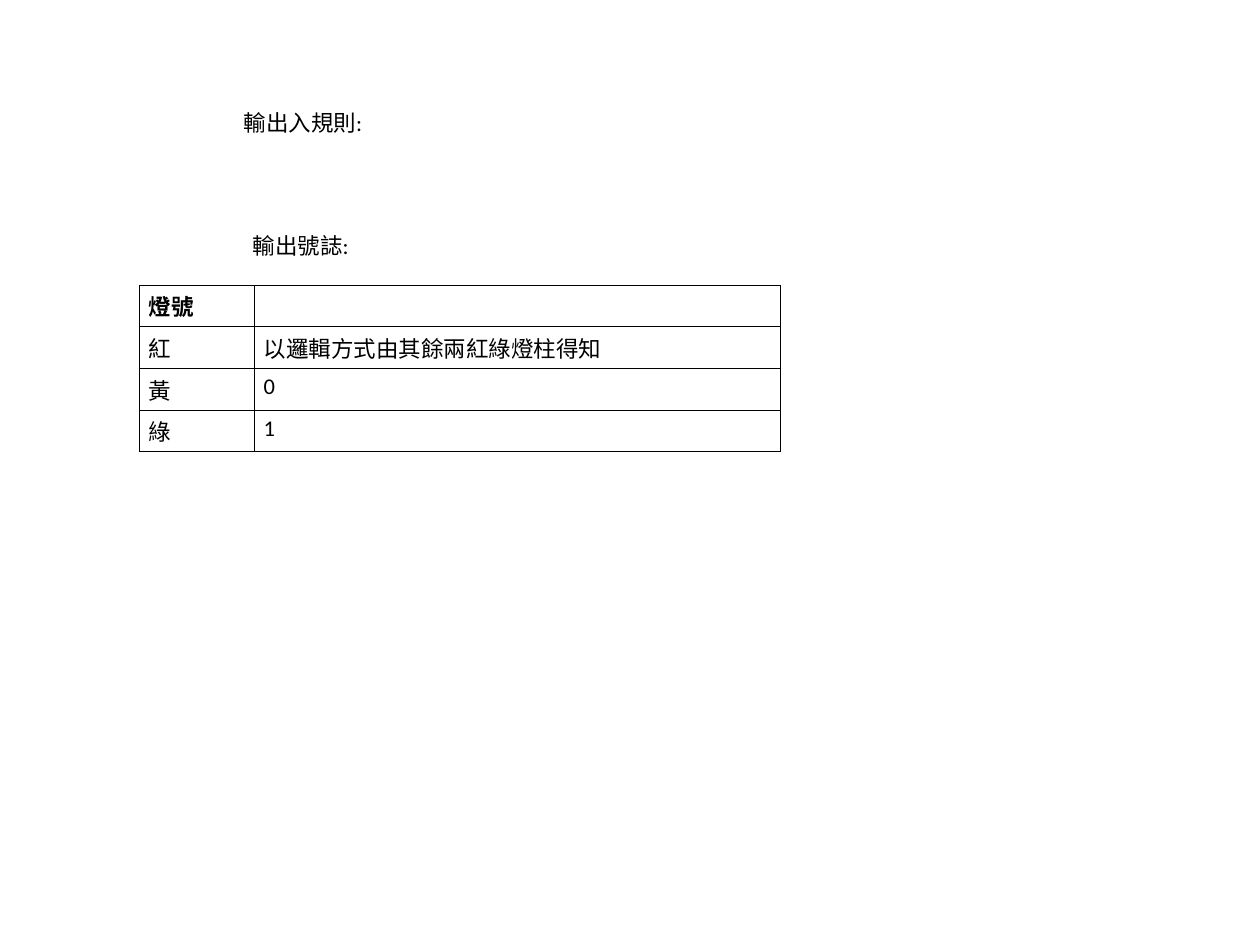
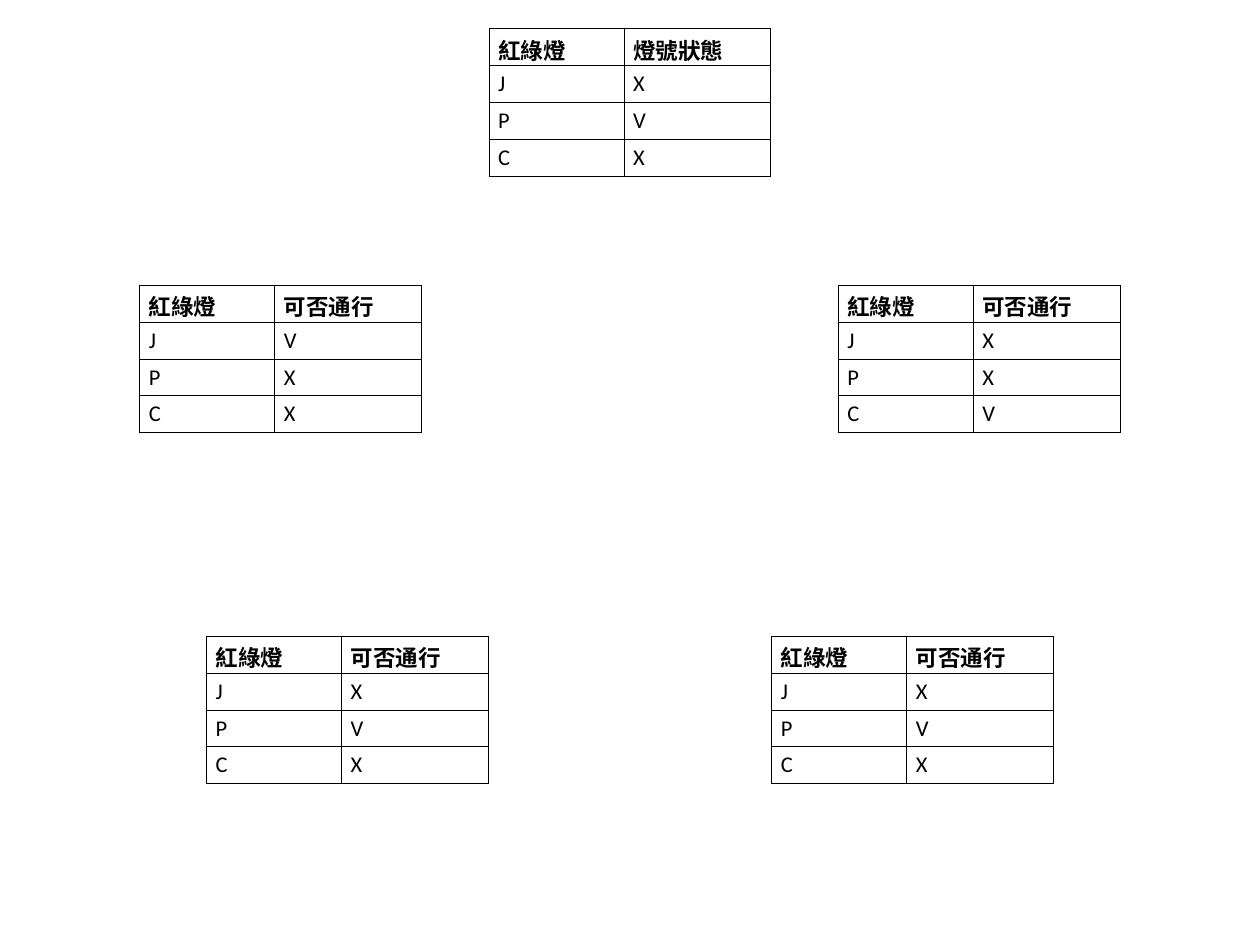
from lxml.etree import SubElement
from pptx import Presentation
from pptx.dml.color import RGBColor
from pptx.enum.text import MSO_AUTO_SIZE as AutoSize
from pptx.oxml.ns import qn
from pptx.util import Inches, Pt

WIDTH, HEIGHT = 14, 10.5
FONT, SIZE = "Calibri", 18
INK, PAPER = "000000", "FFFFFF"
ROW_HEIGHT = 0.41
LEFT_EDGE, MIDDLE_TOP = 1.55, 3.17
SIGNAL_COLUMNS = (1.5, 1.63)
LIGHTS = "JPC"


def color(hex_text):
    return RGBColor.from_string(hex_text)


def add_span(para, text, bold=False):
    span = para.add_run()
    span.text = text
    span.font.name = FONT
    span.font.size = Pt(SIZE)
    span.font.bold = bold
    span.font.color.rgb = color(INK)


def add_label(page, text, left, top, width):
    box = page.shapes.add_textbox(Inches(left), Inches(top), Inches(width), Inches(0.4))
    box.text_frame.word_wrap = False
    box.text_frame.auto_size = AutoSize.SHAPE_TO_FIT_TEXT
    add_span(box.text_frame.paragraphs[0], text)


def outline_cell(cell):
    properties = cell._tc.get_or_add_tcPr()
    for side in ("lnL", "lnR", "lnT", "lnB"):
        line = SubElement(properties, qn(f"a:{side}"), w=str(Pt(1)))
        fill = SubElement(line, qn("a:solidFill"))
        SubElement(fill, qn("a:srgbClr"), val=INK)


def add_grid(page, rows, columns, left, top):
    """Add a ruled table whose first row is bold."""
    frame = page.shapes.add_table(
        len(rows), len(columns), Inches(left), Inches(top),
        Inches(sum(columns)), Inches(ROW_HEIGHT * len(rows)))
    table = frame.table
    table.first_row = table.horz_banding = False
    for column, width in zip(table.columns, columns):
        column.width = Inches(width)
    for row_index, texts in enumerate(rows):
        table.rows[row_index].height = Inches(ROW_HEIGHT)
        for column_index, text in enumerate(texts):
            cell = table.cell(row_index, column_index)
            outline_cell(cell)
            cell.fill.solid()
            cell.fill.fore_color.rgb = color(PAPER)
            if text:
                add_span(cell.text_frame.paragraphs[0], text, bold=row_index == 0)


def add_signal(page, shift, top, green, heading="可否通行"):
    """Add a signal table, shifted sideways from the slide's centre."""
    states = [(light, "V" if light == green else "X") for light in LIGHTS]
    left = (WIDTH - sum(SIGNAL_COLUMNS)) / 2 + shift
    add_grid(page, [("紅綠燈", heading), *states], SIGNAL_COLUMNS, left, top)


def add_page(deck):
    page = deck.slides.add_slide(deck.slide_layouts[6])
    page.background.fill.solid()
    page.background.fill.fore_color.rgb = color(PAPER)
    return page


def build_rules(deck):
    page = add_page(deck)
    lamp_rows = [
        ("燈號", ""),
        ("紅", "以邏輯方式由其餘兩紅綠燈柱得知"),
        ("黃", "0"),
        ("綠", "1"),
    ]
    add_grid(page, lamp_rows, (1.28, 5.84), LEFT_EDGE, MIDDLE_TOP)
    add_label(page, "輸出入規則:", 2.61, 1.16, 1.53)
    add_label(page, "輸出號誌:", 2.71, 2.53, 1.28)


def build_signals(deck):
    page = add_page(deck)
    outer, inner = 3.88, 3.14
    bottom_top = 7.07
    add_signal(page, outer, MIDDLE_TOP, "C")
    add_signal(page, 0, 0.32, "P", "燈號狀態")
    add_signal(page, -outer, MIDDLE_TOP, "J")
    for shift in (-inner, inner):
        add_signal(page, shift, bottom_top, "P")


def main():
    deck = Presentation()
    deck.slide_width, deck.slide_height = Inches(WIDTH), Inches(HEIGHT)
    build_rules(deck)
    build_signals(deck)
    deck.save("out.pptx")


if __name__ == "__main__":
    main()
